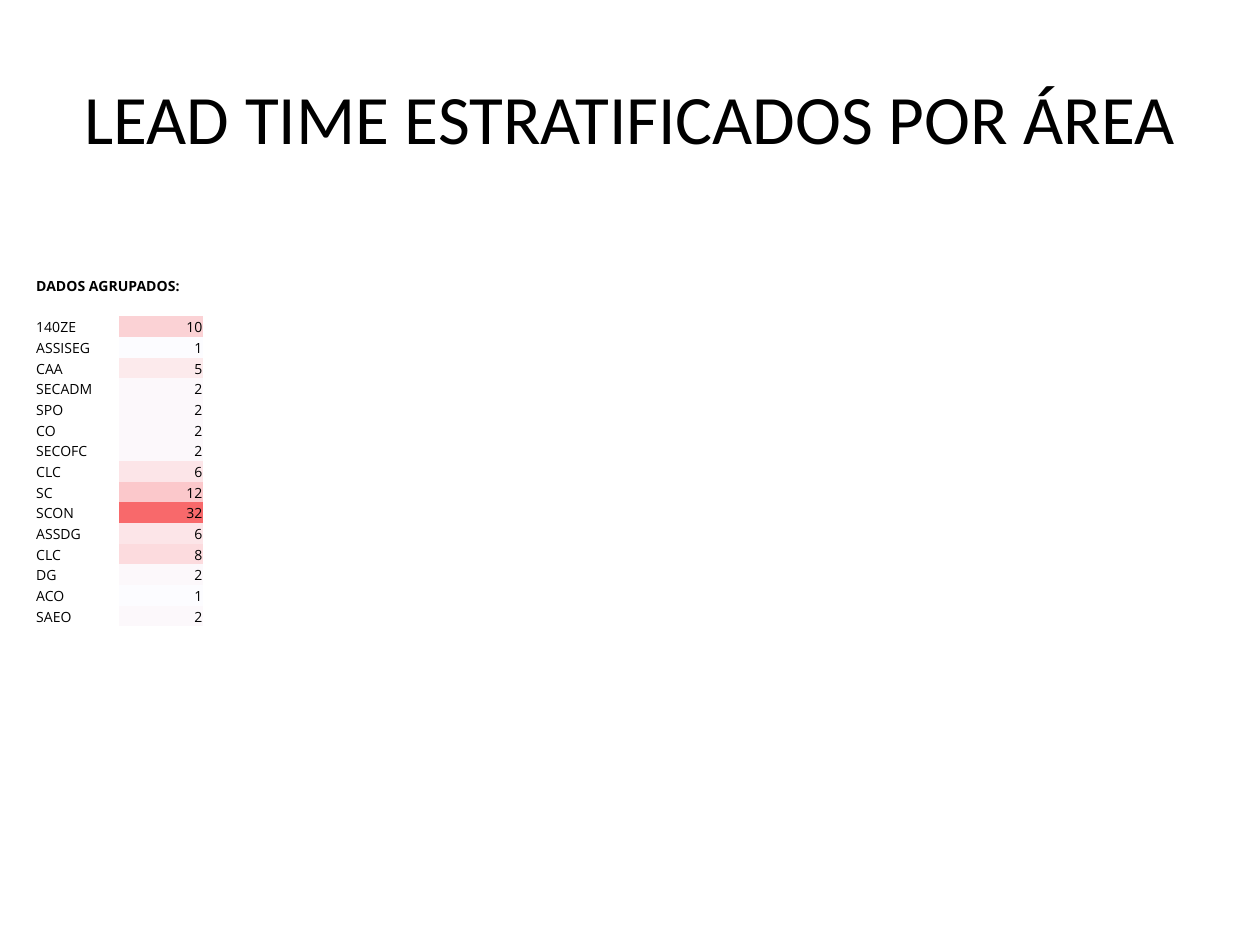
import math

import lxml.etree
import pptx
import pptx.dml.color
import pptx.enum.text
import pptx.oxml.ns
import pptx.util

Cm = pptx.util.Cm
Pt = pptx.util.Pt
RGBColor = pptx.dml.color.RGBColor
ALIGN = pptx.enum.text.PP_ALIGN
ANCHOR = pptx.enum.text.MSO_ANCHOR
qn = pptx.oxml.ns.qn

BLACK = RGBColor(0x00, 0x00, 0x00)
SCALE_LOW = RGBColor(0xFC, 0xFC, 0xFF)
SCALE_HIGH = RGBColor(0xF8, 0x69, 0x6B)
NO_STYLE = "{2D5ABB26-0587-4C30-8999-92F81FD0307C}"

AREAS = [
    ("140ZE", 10), ("ASSISEG", 1), ("CAA", 5), ("SECADM", 2), ("SPO", 2),
    ("CO", 2), ("SECOFC", 2), ("CLC", 6), ("SC", 12), ("SCON", 32),
    ("ASSDG", 6), ("CLC", 8), ("DG", 2), ("ACO", 1), ("SAEO", 2),
]


def format_runs(p, font, size, bold=False):
    for r in p.runs:
        r.font.name = font
        r.font.size = Pt(size)
        r.font.bold = bold
        r.font.color.rgb = BLACK


def scale_color(value, low, high):
    t = (value - low) / (high - low)
    return RGBColor(*(math.ceil(a + (b - a) * t)
                      for a, b in zip(SCALE_LOW, SCALE_HIGH)))


def add_title(s, text, left, top, width, height):
    tf = s.shapes.add_textbox(left, top, width, height).text_frame
    tf.word_wrap = True
    tf.vertical_anchor = ANCHOR.MIDDLE
    p = tf.paragraphs[0]
    p.text = text
    p.alignment = ALIGN.CENTER
    format_runs(p, "Calibri", 39.6)


def set_cell(cell, text="", align=ALIGN.LEFT, bold=False, color=None):
    cell.margin_left = cell.margin_right = cell.margin_top = Cm(0.02)
    cell.margin_bottom = 0
    cell.vertical_anchor = ANCHOR.BOTTOM
    if color is None:
        cell.fill.background()
    else:
        cell.fill.solid()
        cell.fill.fore_color.rgb = color
    p = cell.text_frame.paragraphs[0]
    p.alignment = align
    if text:
        p.text = text
        format_runs(p, "Open Sans", 8, bold)
    else:
        end = lxml.etree.SubElement(p._p, qn("a:endParaRPr"), sz="800")
        lxml.etree.SubElement(end, qn("a:latin"), typeface="Open Sans")


def add_area_table(s, heading, areas, left, top, width, height):
    n = len(areas) + 2
    table = s.shapes.add_table(n, 2, left, top, width, height).table
    table.first_row = table.horz_banding = False
    table._tbl.tblPr.find(qn("a:tableStyleId")).text = NO_STYLE
    for col in table.columns:
        col.width = width // 2
    for row in table.rows:
        row.height = height // n
    table.cell(0, 0).merge(table.cell(0, 1))
    set_cell(table.cell(0, 0), heading, bold=True)
    for cell in (table.cell(0, 1), table.cell(1, 0), table.cell(1, 1)):
        set_cell(cell)
    values = [value for _, value in areas]
    for i, (area, value) in enumerate(areas, 2):
        set_cell(table.cell(i, 0), area)
        set_cell(table.cell(i, 1), str(value), ALIGN.RIGHT,
                 color=scale_color(value, min(values), max(values)))


prs = pptx.Presentation()
prs.slide_width = Cm(25.4)
prs.slide_height = Cm(19.05)
s = prs.slides.add_slide(prs.slide_layouts[6])
add_title(s, "LEAD TIME ESTRATIFICADOS POR ÁREA",
          Cm(1.27), Cm(0.76), Cm(22.86), Cm(3.18))
add_area_table(s, "DADOS AGRUPADOS:", AREAS,
               Cm(0.71), Cm(5.54), Cm(3.39), Cm(7.09))
prs.save("out.pptx")
